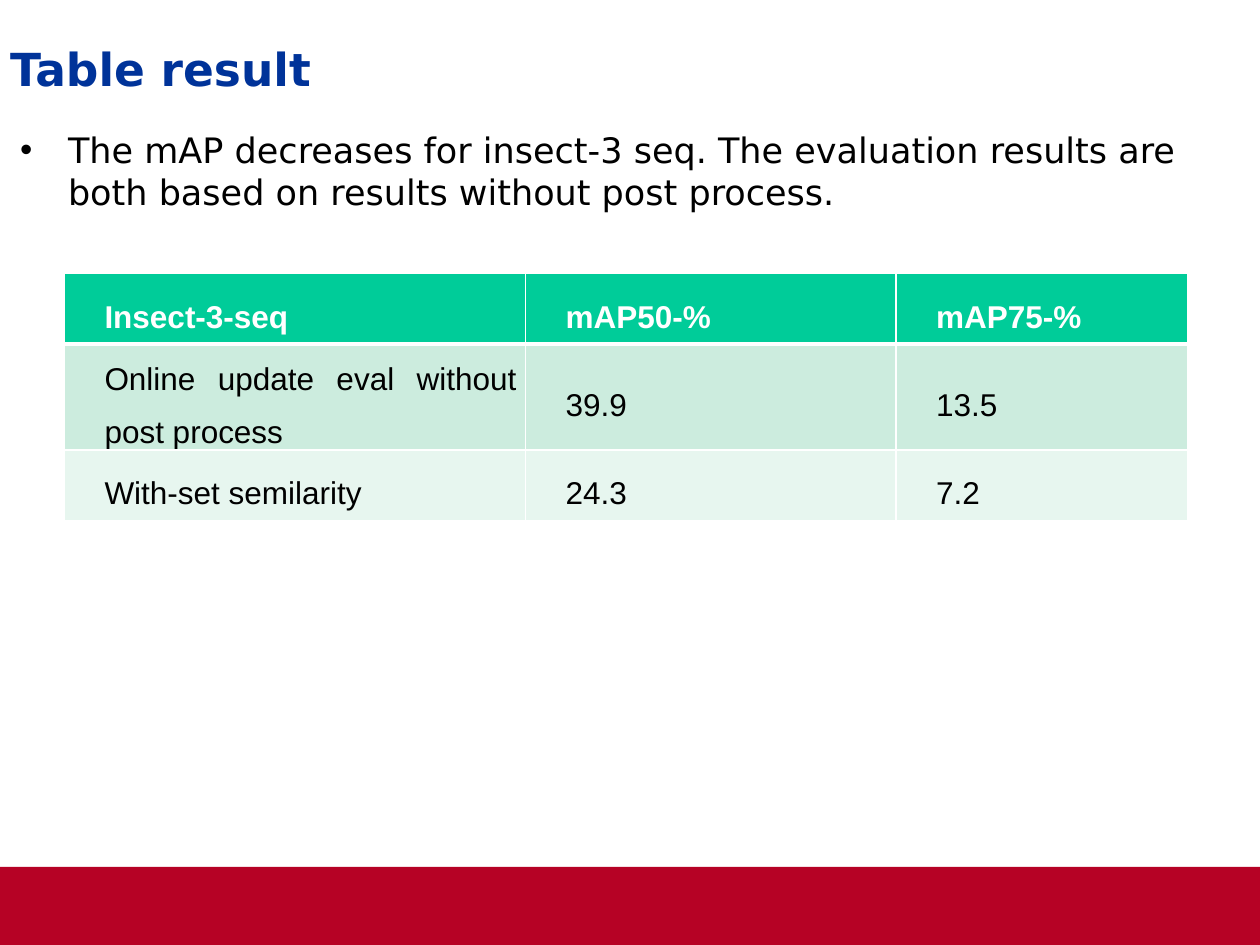
from pptx import Presentation
from pptx.dml.color import RGBColor
from pptx.enum.shapes import MSO_SHAPE
from pptx.enum.text import MSO_ANCHOR, MSO_AUTO_SIZE, PP_ALIGN
from pptx.oxml.ns import qn
from pptx.util import Inches, Pt
from lxml import etree

RECT = MSO_SHAPE.RECTANGLE
TOP, MIDDLE = MSO_ANCHOR.TOP, MSO_ANCHOR.MIDDLE
LEFT, JUSTIFY = PP_ALIGN.LEFT, PP_ALIGN.JUSTIFY
FIXED = MSO_AUTO_SIZE.NONE

COLORS = {
    "band": "B60225",
    "title": "003399",
    "text": "000000",
    "white": "FFFFFF",
    "head": "00CC99",
    "odd": "CCECDE",
    "even": "E7F6EF",
}


def color(name):
    return RGBColor.from_string(COLORS[name])


class Deck:
    """Holds the style and the current slide, and adds each kind of element."""

    sans = "DejaVu Sans"
    cell_font = "Arial"

    def __init__(self):
        self.prs = Presentation()
        self.prs.slide_width = Inches(10)
        self.prs.slide_height = Inches(7.5)
        self.slide = self.prs.slides.add_slide(self.prs.slide_layouts[1])

    def style(self, para, name, size, tint, bold=False):
        font = para.font
        font.name, font.size, font.bold = name, Pt(size), bold
        font.color.rgb = color(tint)

    def indent(self, para, margin, first=0):
        props = para._p.get_or_add_pPr()
        props.set("marL", str(Inches(margin)))
        props.set("indent", str(Inches(first)))
        return props

    def place(self, shape, box, text, anchor):
        shape.left, shape.top, shape.width, shape.height = map(Inches, box)
        frame = shape.text_frame
        frame.text = text
        frame.word_wrap = True
        frame.auto_size = FIXED
        frame.vertical_anchor = anchor
        frame.margin_left = frame.margin_top = 0
        frame.margin_right, frame.margin_bottom = Inches(0.1), Inches(0.05)
        para = frame.paragraphs[0]
        para.alignment = LEFT
        para.space_before = 0
        return para

    def band(self, box):
        shape = self.slide.shapes.add_shape(RECT, *map(Inches, box))
        shape.shadow.inherit = False
        shape.fill.solid()
        shape.fill.fore_color.rgb = color("band")
        shape.line.fill.background()

    def title(self, box, text):
        para = self.place(self.slide.shapes.title, box, text, MIDDLE)
        para.line_spacing = 0.95
        self.style(para, self.sans, 26, "title", True)

    def body(self, box, text):
        para = self.place(self.slide.placeholders[1], box, text, TOP)
        para.space_after = Pt(3)
        props = self.indent(para, 0.38, -0.38)
        etree.SubElement(props, qn("a:buFont"), typeface="Arial")
        etree.SubElement(props, qn("a:buChar"), char="•")
        self.style(para, self.sans, 20, "text")

    def border(self, cell, widths):
        props = cell._tc.get_or_add_tcPr()
        for side, width in zip("LRTB", widths):
            line = etree.SubElement(props, qn(f"a:ln{side}"), w=str(Pt(width)))
            fill = etree.SubElement(line, qn("a:solidFill"))
            etree.SubElement(fill, qn("a:srgbClr"), val=COLORS["white"])

    def cell(self, cell, text, row):
        head = row == 0
        self.border(cell, (1, 1, 3 if row == 1 else 1, 3 if head else 1))
        cell.fill.solid()
        cell.fill.fore_color.rgb = color(("head", "odd", "even")[row])
        cell.vertical_anchor = MIDDLE
        cell.margin_left = cell.margin_right = Inches(0.07)
        cell.margin_top = cell.margin_bottom = 0
        cell.text = text
        para = cell.text_frame.paragraphs[0]
        para.alignment = JUSTIFY
        para.line_spacing = 1.5
        self.indent(para, 0.25)
        self.style(para, self.cell_font, 18, "white" if head else "text", head)

    def table(self, left, top, widths, heights, rows):
        size = Inches(sum(widths)), Inches(sum(heights))
        table = self.slide.shapes.add_table(
            len(heights), len(widths), Inches(left), Inches(top), *size
        ).table
        for col, width in zip(table.columns, widths):
            col.width = Inches(width)
        for line, height in zip(table.rows, heights):
            line.height = Inches(height)
        for row, texts in enumerate(rows):
            for col, text in enumerate(texts):
                self.cell(table.cell(row, col), text, row)


def main():
    deck = Deck()
    deck.band((0, 6.88, 10, 0.62))
    deck.title((0.08, 0.19, 9.77, 0.79), "Table result")
    deck.body(
        (0.16, 1.02, 9.69, 5.56),
        "The mAP decreases for insect-3 seq. The evaluation results are "
        "both based on results without post process.",
    )
    deck.table(
        0.51, 2.17, (3.66, 2.94, 2.32), (0.56, 0.78, 0.56),
        (
            ("Insect-3-seq", "mAP50-%", "mAP75-%"),
            ("Online update eval without post process", "39.9", "13.5"),
            ("With-set semilarity", "24.3", "7.2"),
        ),
    )
    deck.prs.save("out.pptx")


if __name__ == "__main__":
    main()
